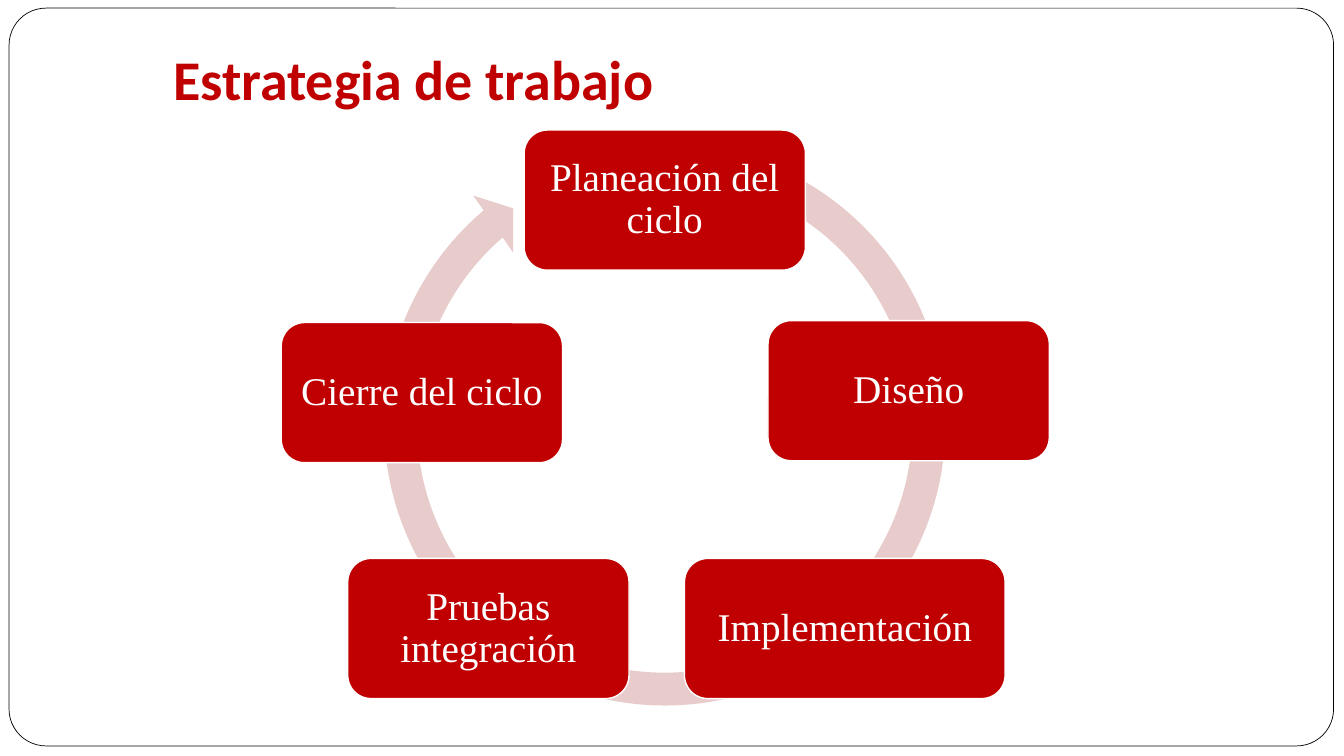
from pptx import Presentation
from pptx.dml.color import RGBColor
from pptx.enum.shapes import MSO_SHAPE
from pptx.enum.text import MSO_ANCHOR, PP_ALIGN
from pptx.util import Inches, Pt

COLORS = {"red": "C00000", "ring": "E8CCCC", "white": "FFFFFF", "black": "000000"}
COLS, ROWS = 96, 54
STEP_W, STEP_H = 20.09, 10.01

# Cycle steps, clockwise: label, column, row, width in columns
STEPS = [
    ("Planeación del ciclo", 37.44, 9.29, STEP_W),
    ("Diseño", 54.86, 22.9, STEP_W),
    ("Implementación", 48.89, 39.89, 22.9),
    ("Pruebas integración", 24.84, 39.89, STEP_W),
    ("Cierre del ciclo", 20.09, 23.04, STEP_W),
]


class Deck:
    """Style and current slide, placed on a 96 by 54 grid."""

    def __init__(self):
        self.prs = Presentation()
        self.prs.slide_width, self.prs.slide_height = Inches(13.33), Inches(7.5)
        self.slide = self.prs.slides.add_slide(self.prs.slide_layouts[6])

    def place(self, col, row, width, height):
        dx, dy = self.prs.slide_width / COLS, self.prs.slide_height / ROWS
        return [int(n) for n in (col * dx, row * dy, width * dx, height * dy)]

    def shape(self, kind, box, fill, line=None, weight=1, adjustments=()):
        sp = self.slide.shapes.add_shape(kind, *self.place(*box))
        sp.shadow.inherit = False
        sp.fill.solid()
        sp.fill.fore_color.rgb = RGBColor.from_string(COLORS[fill])
        if line:
            sp.line.color.rgb = RGBColor.from_string(COLORS[line])
            sp.line.width = Pt(weight)
        else:
            sp.line.fill.background()
        for i, value in enumerate(adjustments):
            sp.adjustments[i] = value
        return sp

    def label(self, sp, text, font, size, color, inset, anchor, align, bold=False):
        tf = sp.text_frame
        tf.word_wrap = True
        tf.vertical_anchor = anchor
        tf.margin_left, tf.margin_top, tf.margin_right, tf.margin_bottom = map(Inches, inset)
        tf.text = text
        p = tf.paragraphs[0]
        p.alignment = align
        r = p.runs[0]
        r.font.name, r.font.size, r.font.bold = font, Pt(size), bold
        r.font.color.rgb = RGBColor.from_string(COLORS[color])
        return p

    def title(self, text, box):
        sp = self.slide.shapes.add_textbox(*self.place(*box))
        self.label(sp, text, "Calibri", 40, "red", (0.1, 0.05, 0.1, 0.1),
                   MSO_ANCHOR.BOTTOM, PP_ALIGN.LEFT, bold=True)

    def step(self, text, col, row, width):
        sp = self.shape(MSO_SHAPE.ROUNDED_RECTANGLE, (col, row, width, STEP_H), "red", "white")
        p = self.label(sp, text, "Times New Roman", 28, "white", [0.12] * 4,
                       MSO_ANCHOR.MIDDLE, PP_ALIGN.CENTER)
        p.line_spacing = 0.9


def main():
    deck = Deck()
    # Frame
    deck.shape(MSO_SHAPE.ROUNDED_RECTANGLE, (0.65, 0.58, 94.61, 52.7),
               "white", "black", 0.5, [0.05])
    # Ring and steps of the cycle
    deck.shape(MSO_SHAPE.CIRCULAR_ARROW, (26.14, 9, 42.7, 42.7), "ring",
               adjustments=(0.055, 3.307, 137.698, 173.897, 0.058))
    for step in STEPS:
        deck.step(*step)
    # Title
    deck.title("Estrategia de trabajo", (11.66, 0.79, 78.62, 7.92))
    deck.prs.save("out.pptx")


if __name__ == "__main__":
    main()
